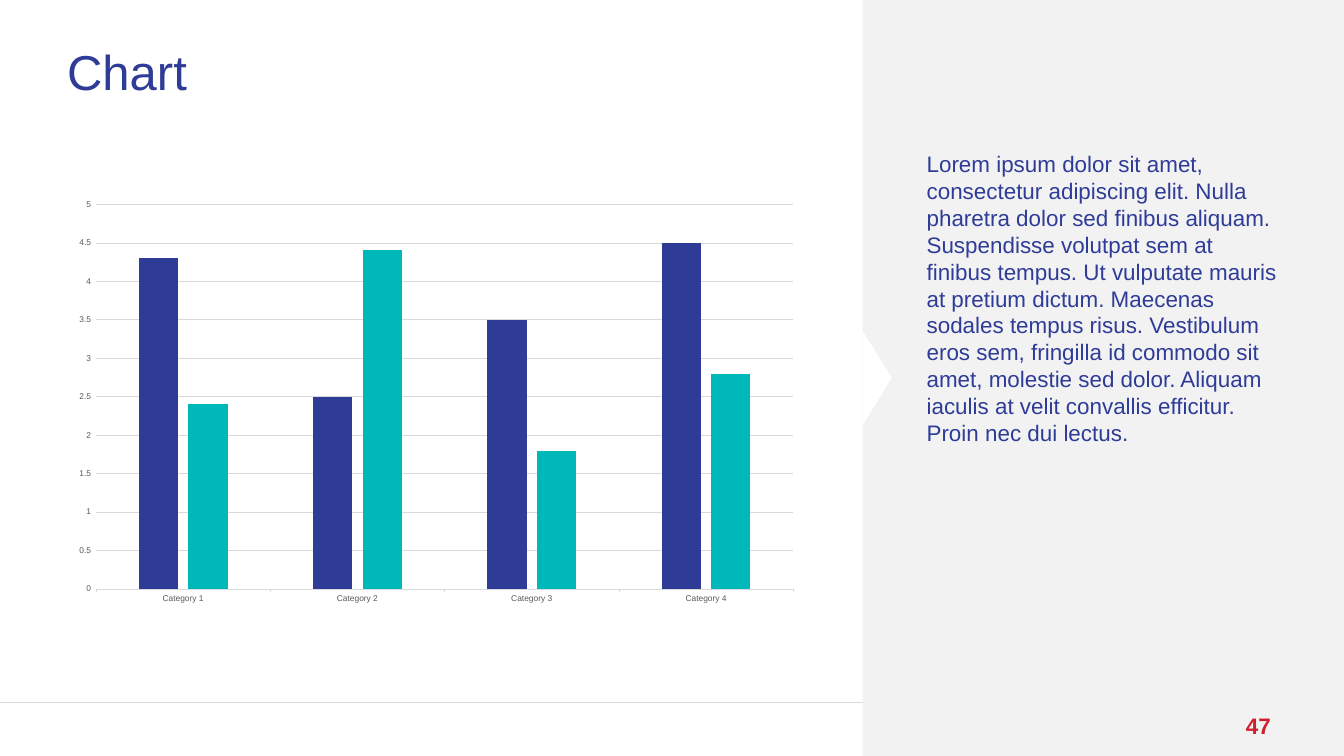
import pptx
import pptx.chart.data
import pptx.dml.color
import pptx.enum.chart
import pptx.enum.shapes
import pptx.enum.text
import pptx.oxml
import pptx.util
from pptx.util import Cm, Pt

FONT = "Arial"
COLORS = {
    "navy": "2E3C98",
    "teal": "00B8BA",
    "red": "D01E2F",
    "panel": "F2F2F2",
    "white": "FFFFFF",
    "rule": "D9D9D9",
    "label": "595959",
}
WIDTH, HEIGHT = 67.72, 38.1
PANEL_LEFT = 43.46
BODY = (
    "Lorem ipsum dolor sit amet, consectetur adipiscing elit. Nulla pharetra "
    "dolor sed finibus aliquam. Suspendisse volutpat sem at finibus tempus. "
    "Ut vulputate mauris at pretium dictum. Maecenas sodales tempus risus. "
    "Vestibulum eros sem, fringilla id commodo sit amet, molestie sed dolor. "
    "Aliquam iaculis at velit convallis efficitur. Proin nec dui lectus."
)


def rgb(name):
    return pptx.dml.color.RGBColor.from_string(COLORS[name])


def style_font(font, size, color, bold=False):
    font.name = FONT
    font.size = Pt(size)
    font.bold = bold
    font.color.rgb = rgb(color)


def fill_frame(tf, text, size, color, bold=False):
    """Write one paragraph into a frame without margins."""
    tf.word_wrap = True
    tf.margin_left = tf.margin_right = tf.margin_top = tf.margin_bottom = 0
    p = tf.paragraphs[0]
    p.text = text
    style_font(p.font, size, color, bold)
    return p


def add_text(s, box, *style):
    tf = s.shapes.add_textbox(*map(Cm, box)).text_frame
    return fill_frame(tf, *style)


def add_block(s, kind, box, color):
    sp = s.shapes.add_shape(kind, *map(Cm, box))
    sp.shadow.inherit = False
    sp.fill.solid()
    sp.fill.fore_color.rgb = rgb(color)
    sp.line.fill.background()
    return sp


def add_title(s, box, text):
    title = s.shapes.title
    title.left, title.top, title.width, title.height = map(Cm, box)
    tf = title.text_frame
    p = fill_frame(tf, text, 70, "navy")
    tf.auto_size = pptx.enum.text.MSO_AUTO_SIZE.NONE
    tf.vertical_anchor = pptx.enum.text.MSO_ANCHOR.MIDDLE
    p.alignment = pptx.enum.text.PP_ALIGN.LEFT
    p.line_spacing = 0.9


def add_footer_rule(s, y):
    rule = s.shapes.add_connector(
        pptx.enum.shapes.MSO_CONNECTOR.STRAIGHT, 0, Cm(y), Cm(WIDTH), Cm(y))
    rule.line.color.rgb = rgb("rule")
    rule.line.width = Pt(1)
    sp_pr = rule._element.spPr
    sp_pr.append(sp_pr.makeelement(pptx.oxml.ns.qn("a:effectLst"), {}))


def add_side_panel(s, box):
    left, top, width, height = box
    shapes = pptx.enum.shapes.MSO_SHAPE
    add_block(s, shapes.RECTANGLE, box, "panel")

    # Body text
    p = add_text(s, (left + 3.23, top + 7.57, 17.83, 18.87), BODY, 32, "navy")
    p.line_spacing = Pt(38.4)

    # Notch: a triangle turned to point right from the panel's left edge
    base, depth = 4.78, 1.47
    notch = add_block(
        s, shapes.ISOSCELES_TRIANGLE,
        (left + (depth - base) / 2, top + (height - depth) / 2, base, depth),
        "white")
    notch.rotation = 90

    # Page number
    p = add_text(s, (left + 19.02, top + 35.89, 1.85, 0.89),
                 "47", 32, "red", True)
    p.alignment = pptx.enum.text.PP_ALIGN.CENTER


def add_column_chart(s, box):
    data = pptx.chart.data.CategoryChartData()
    data.categories = [f"Category {i}" for i in range(1, 5)]
    data.add_series("Series 1", (4.3, 2.5, 3.5, 4.5))
    data.add_series("Series 2", (2.4, 4.4, 1.8, 2.8))
    chart = s.shapes.add_chart(
        pptx.enum.chart.XL_CHART_TYPE.COLUMN_CLUSTERED,
        *map(Cm, box), data).chart
    chart.has_legend = False
    chart.has_title = False
    chart.font.name = FONT
    chart.font.size = Pt(10)

    # Columns
    plot = chart.plots[0]
    plot.gap_width = 219
    plot.overlap = -27
    plot.vary_by_categories = False
    for series, color in zip(plot.series, ("navy", "teal")):
        series.format.fill.solid()
        series.format.fill.fore_color.rgb = rgb(color)

    # Axes and gridlines
    values, categories = chart.value_axis, chart.category_axis
    for axis in (values, categories):
        style_font(axis.tick_labels.font, 12, "label")
        axis.major_tick_mark = pptx.enum.chart.XL_TICK_MARK.OUTSIDE
    values.minimum_scale, values.maximum_scale = 0, 5
    values.major_unit = 0.5
    values.has_major_gridlines = True
    values.format.line.fill.background()
    for line in (categories.format.line, values.major_gridlines.format.line):
        line.color.rgb = rgb("rule")
        line.width = Pt(0.75)


def main():
    prs = pptx.Presentation()
    prs.slide_width, prs.slide_height = Cm(WIDTH), Cm(HEIGHT)
    s = prs.slides.add_slide(prs.slide_layouts.get_by_name("Title Only"))
    add_footer_rule(s, 35.41)
    add_title(s, (3.38, 2.44, 60.96, 2.69), "Chart")
    add_side_panel(s, (PANEL_LEFT, 0, WIDTH - PANEL_LEFT, HEIGHT))
    add_column_chart(s, (3.25, 9.65, 37.47, 21.16))
    prs.save("out.pptx")


if __name__ == "__main__":
    main()
